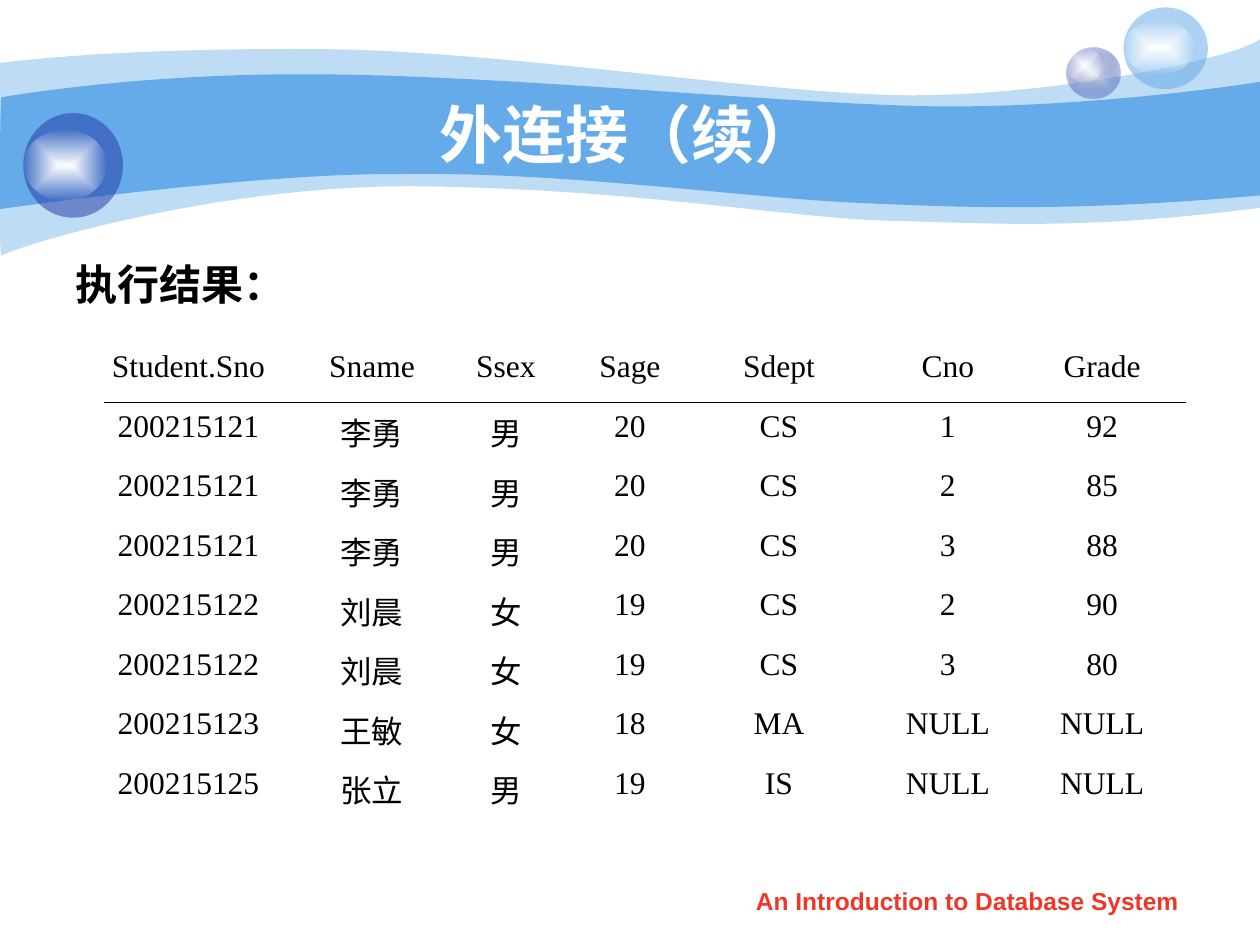
"""Build a slide that shows the result of an outer join."""
from lxml import etree
from pptx import Presentation
from pptx.dml.color import RGBColor
from pptx.enum.shapes import MSO_CONNECTOR, MSO_SHAPE
from pptx.enum.text import MSO_ANCHOR, PP_ALIGN
from pptx.oxml import parse_xml
from pptx.oxml.ns import qn
from pptx.util import Cm, Pt

OVAL = MSO_SHAPE.OVAL
LINE = MSO_CONNECTOR.STRAIGHT
MID, TOP = MSO_ANCHOR.MIDDLE, MSO_ANCHOR.TOP
CENTER, JUST = PP_ALIGN.CENTER, PP_ALIGN.JUSTIFY
NS = "http://schemas.openxmlformats.org/drawingml/2006/main"
BARE = "{2D5ABB26-0587-4C30-8999-92F81FD0307C}"
rgb = RGBColor.from_string


def paint(shape, *stops):
    """Fill a shape with one (hex, opacity) colour, or with a glow of two."""
    shape.shadow.inherit = False
    shape.line.fill.background()
    shape.fill.background()
    hues = [f'<a:srgbClr val="{hue}"><a:alpha val="{part * 1000}"/></a:srgbClr>'
            for hue, part in stops]
    if len(hues) == 1:
        body = f'<a:solidFill xmlns:a="{NS}">{hues[0]}</a:solidFill>'
    else:
        body = (f'<a:gradFill xmlns:a="{NS}" rotWithShape="1"><a:gsLst>'
                f'<a:gs pos="0">{hues[0]}</a:gs><a:gs pos="100000">{hues[1]}</a:gs>'
                '</a:gsLst><a:path path="shape"><a:fillToRect l="50000" t="50000"'
                ' r="50000" b="50000"/></a:path></a:gradFill>')
    props = shape._element.spPr
    props.replace(props.find(qn("a:noFill")), parse_xml(body))


def write(frame, text, hue, align, anchor, look, hang=0):
    """Put one formatted line of text into a frame."""
    frame.word_wrap = True
    frame.vertical_anchor = anchor
    line = frame.paragraphs[0]
    line.alignment = align
    if hang:
        props = line._p.get_or_add_pPr()
        props.set("marL", str(Cm(hang)))
        props.set("indent", str(-Cm(hang)))
    run = line.add_run()
    run.text = text
    run.font.color.rgb = rgb(hue)
    for key, val in look.items():
        setattr(run.font, key, val)


deck = Presentation()
deck.slide_width, deck.slide_height = Cm(25.4), Cm(19.05)
slide = deck.slides.add_slide(deck.slide_layouts[5])
shapes = slide.shapes
title = shapes.title

waves = [
    (41, (0, 1.27), [
        (0.61, 1.19, 2.72, 0.97, 6.27, 0.99),
        (9.8, 0.99, 14.61, 1.78, 17.75, 1.91),
        (20.88, 2.03, 24.89, 1.19, 25.4, 0.79),
        (25.4, 4.19),
        (21.79, 4.65, 20.02, 4.5, 17.91, 4.45),
        (15.8, 4.39, 13.08, 3.84, 8.71, 3.76),
        (4.37, 3.66, 0.1, 5.05, 0.03, 5.16),
        (-0.03, 5.28, 0, 1.91, 0, 1.27)]),
    (100, (0.03, 1.96), [
        (0.05, 1.96, 2.79, 1.47, 6.3, 1.5),
        (9.8, 1.5, 15.11, 2.03, 18.24, 2.13),
        (21.36, 2.24, 24.79, 1.75, 25.4, 1.65),
        (25.4, 3.94),
        (21.67, 4.27, 19.43, 4.19, 17.32, 4.09),
        (15.19, 4.01, 11.35, 3.45, 8.05, 3.51),
        (5.16, 3.48, -0.05, 4.22, -0.03, 4.22),
        (0, 4.22, 0, 1.96, 0.03, 1.96)]),
]
for part, start, curves in waves:
    pen = shapes.build_freeform(*[Cm(side) for side in start])
    for curve in curves:
        sides = [Cm(side) for side in curve]
        pen.add_line_segments(list(zip(sides[::2], sides[1::2])), close=curve is curves[-1])
    wave = pen.convert_to_shape()
    legs = iter(list(wave._element.iter(qn("a:lnTo"))))
    for curve in curves:
        group = [next(legs) for _ in curve[::2]]
        if len(group) == 3:
            bend = etree.Element(qn("a:cubicBezTo"))
            group[0].addprevious(bend)
            for leg in group:
                bend.append(leg[0])
                leg.getparent().remove(leg)
    paint(wave, ("65AAE9", part))

glow = [("FFFFFF", 100), ("FFFFFF", 0)]
balls = [
    ((21.51, 0.97, 1.07, 1.02), [("E1E2ED", 100), ("233DA9", 31)]),
    ((21.51, 0.97, 0.71, 0.69), glow),
    ((22.65, 0.15, 1.7, 1.65), [("65AAE9", 53)]),
    ((22.65, 0.42, 1.42, 1.09), glow),
    ((0.47, 2.28, 2.01, 2.11), [("233DA9", 53)]),
    ((0.47, 2.62, 1.68, 1.42), glow),
]
for box, stops in balls:
    paint(shapes.add_shape(OVAL, *[Cm(side) for side in box]), *stops)

title.left, title.top, title.width, title.height = Cm(2.55), Cm(1.91), Cm(20.52), Cm(1.57)
shapes._spTree.append(title._element)
bold = {"name": "Arial", "bold": True}
write(title.text_frame, "外连接（续） ", "FFFFFF", CENTER, MID, {**bold, "size": Pt(36)})

notes = [
    ((1.27, 5.08, 11.23, 1.24), "执行结果： ", "000000", JUST, 24, 0.95),
    ((14.5, 17.73, 10.01, 0.89), "An Introduction to Database System", "F03628", CENTER, 14, 0),
]
for box, text, hue, align, size, hang in notes:
    frame = shapes.add_textbox(*[Cm(side) for side in box]).text_frame
    write(frame, text, hue, align, TOP, {**bold, "size": Pt(size)}, hang)

rows = [
    ("Student.Sno", "Sname", "Ssex", "Sage", "Sdept", "Cno", "Grade"),
    ("200215121", "李勇", "男", "20", "CS", "1", "92"),
    ("200215121", "李勇", "男", "20", "CS", "2", "85"),
    ("200215121", "李勇", "男", "20", "CS", "3", "88"),
    ("200215122", "刘晨", "女", "19", "CS", "2", "90"),
    ("200215122", "刘晨", "女", "19", "CS", "3", "80"),
    ("200215123", "王敏", "女", "18", "MA", "NULL", "NULL"),
    ("200215125", "张立", "男", "19", "IS", "NULL", "NULL"),
]
wide = [4.6, 2.8, 2.6, 2.4, 3.61, 3.2, 3.02]
grid = shapes.add_table(len(rows), len(wide), Cm(1.5), Cm(6.92),
                        Cm(sum(wide)), Cm(1.2 * len(rows))).table
grid.first_row = grid.horz_banding = False
grid._tbl.tblPr.find(qn("a:tableStyleId")).text = BARE
for col, width in zip(grid.columns, wide):
    col.width = Cm(width)
plain = {"name": "Times New Roman", "size": Pt(18), "bold": False}
for i, row in enumerate(rows):
    for j, text in enumerate(row):
        cell = grid.cell(i, j)
        cell.fill.background()
        write(cell.text_frame, text, "000000", CENTER, TOP, plain, 0.95)

rule = shapes.add_connector(LINE, Cm(2.1), Cm(8.12), Cm(23.9), Cm(8.12))
rule.line.color.rgb = rgb("000000")
rule.line.width = Pt(0.75)
etree.SubElement(rule._element.spPr, qn("a:effectLst"))

deck.save("out.pptx")
